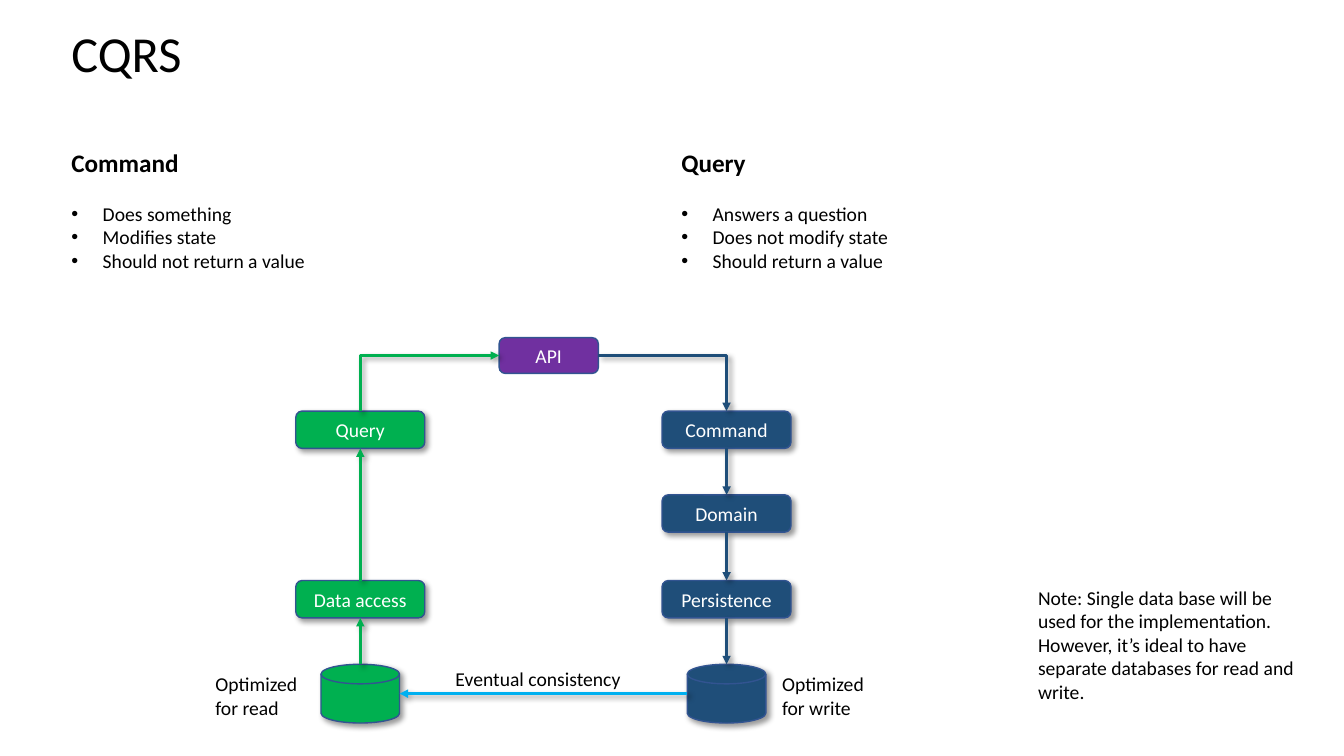
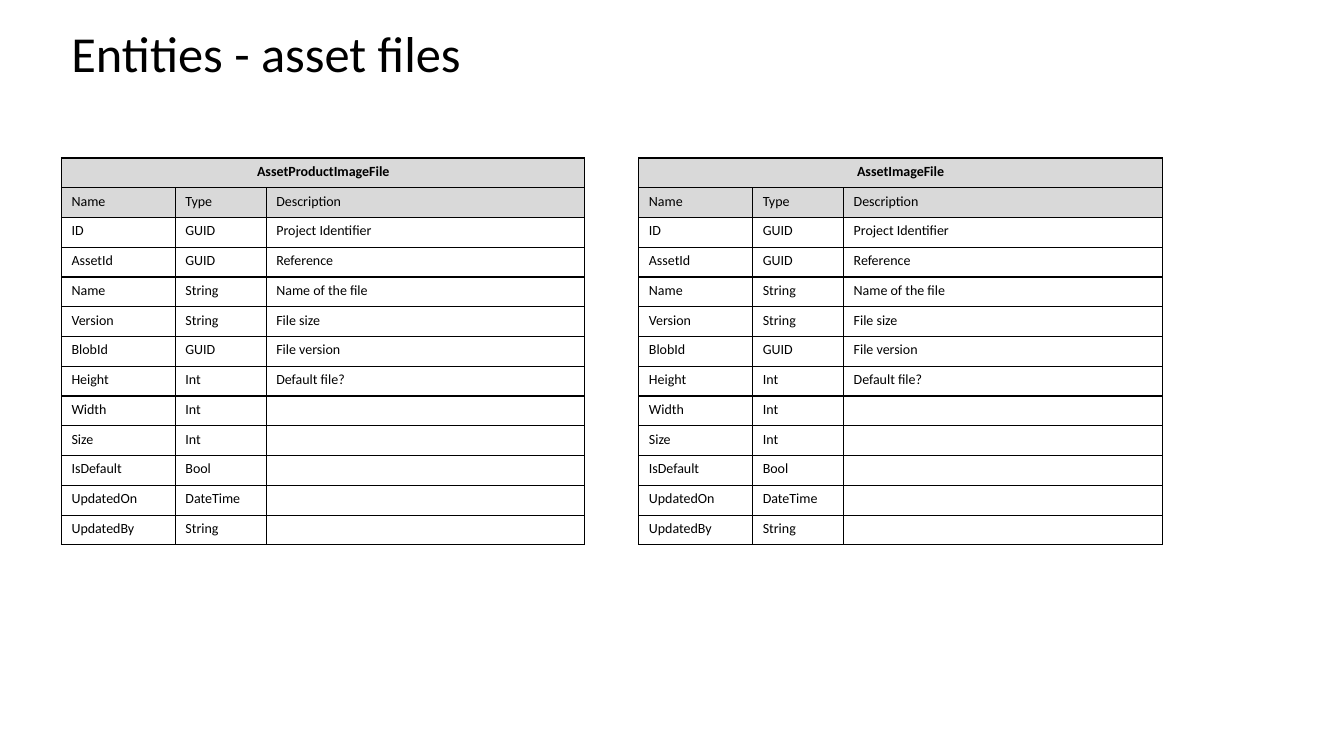
from lxml.etree import SubElement
from pptx import Presentation
from pptx.dml.color import RGBColor as RGB
from pptx.enum.shapes import MSO_CONNECTOR as LINE, MSO_SHAPE as SHAPE
from pptx.enum.text import MSO_ANCHOR as ANCHOR, PP_ALIGN as ALIGN
from pptx.oxml import parse_xml
from pptx.oxml.ns import nsdecls, qn
from pptx.util import Cm, Pt

COLORS = {"text": "000000", "white": "FFFFFF", "api": "7030A0", "write": "1F4E79",
          "read": "00B050", "sync": "00B0F0", "outline": "325491", "header": "D9D9D9"}
RGBS = {name: RGB.from_string(value) for name, value in COLORS.items()}
BODY = {"name": "Calibri", "size": Pt(14), "bold": False}
SHADOW = (f'<a:effectLst {nsdecls("a")}><a:outerShdw blurRad="50800" dist="38100" '
          'dir="2700000" algn="tl" rotWithShape="0"><a:srgbClr val="000000">'
          '<a:alpha val="40000"/></a:srgbClr></a:outerShdw></a:effectLst>')
LEFT = 1.55


def write(tf, lines, color="text", align=ALIGN.LEFT, **changes):
    """Add one paragraph per line and return the paragraphs."""
    added = []
    for line in lines:
        p = tf.paragraphs[0] if not tf.paragraphs[0].runs else tf.add_paragraph()
        p.alignment = align
        r = p.add_run()
        r.text = line
        for name, value in {**BODY, **changes}.items():
            setattr(r.font, name, value)
        r.font.color.rgb = RGBS[color]
        added.append(p)
    return added


def text_box(s, left, top, width, height, wrap=True):
    tf = s.shapes.add_textbox(Cm(left), Cm(top), Cm(width), Cm(height)).text_frame
    tf.word_wrap = wrap
    return tf


prs = Presentation()
prs.slide_width, prs.slide_height = Cm(33.87), Cm(19.05)

# Slides and titles
slides = []
for title in ("CQRS", "Entities - asset files"):
    s = prs.slides.add_slide(prs.slide_layouts[6])
    tf = text_box(s, LEFT, -0.03, 30.76, 2.9)
    tf.vertical_anchor = ANCHOR.MIDDLE
    write(tf, [title], size=Pt(36))[0].line_spacing = 0.9
    slides.append(s)
cqrs, entities = slides

# Command and query lists
for left, width, heading, points in (
        (LEFT, 13.95, "Command",
         ["Does something", "Modifies state", "Should not return a value"]),
        (16.92, 15.37, "Query",
         ["Answers a question", "Does not modify state", "Should return a value"])):
    tf = text_box(cqrs, left, 3.6, width, 3.43)
    write(tf, [heading], size=Pt(18), bold=True)[0].space_after = Pt(17)
    for p in write(tf, points):
        pPr = p._p.get_or_add_pPr()
        pPr.set("marL", str(Cm(0.79)))
        pPr.set("indent", str(-Cm(0.79)))
        SubElement(pPr, qn("a:buFont")).set("typeface", "Arial")
        SubElement(pPr, qn("a:buChar")).set("char", "•")

# Diagram grid: column centres and row tops
READ_X, API_X, WRITE_X = 9.08, 13.83, 18.31
API_Y, ROW_1, ROW_2, ROW_3, DISK_Y = 8.51, 10.36, 12.47, 14.63, 16.74
API_W, API_H, BOX_W, BOX_H, DISK_W, DISK_H = 2.5, 0.9, 3.25, 0.94, 1.98, 1.48
API_MID, DISK_MID = API_Y + API_H / 2, DISK_Y + DISK_H / 2

# Boxes and databases
BOX, DISK = SHAPE.ROUNDED_RECTANGLE, SHAPE.FLOWCHART_MAGNETIC_DISK
for kind, x, top, width, height, color, label in (
        (BOX, API_X, API_Y, API_W, API_H, "api", "API"),
        (BOX, WRITE_X, ROW_1, BOX_W, BOX_H, "write", "Command"),
        (BOX, WRITE_X, ROW_2, BOX_W, BOX_H, "write", "Domain"),
        (BOX, WRITE_X, ROW_3, BOX_W, BOX_H, "write", "Persistence"),
        (DISK, WRITE_X, DISK_Y, DISK_W, DISK_H, "write", None),
        (BOX, READ_X, ROW_1, BOX_W, BOX_H, "read", "Query"),
        (BOX, READ_X, ROW_3, BOX_W, BOX_H, "read", "Data access"),
        (DISK, READ_X, DISK_Y, DISK_W, DISK_H, "read", None)):
    sp = cqrs.shapes.add_shape(kind, Cm(x - width / 2), Cm(top), Cm(width), Cm(height))
    sp.fill.solid()
    sp.fill.fore_color.rgb = RGBS[color]
    sp.line.color.rgb = RGBS["outline"]
    sp.line.width = Pt(1)
    if color == "api":
        sp.shadow.inherit = False
    else:
        sp._element.spPr.append(parse_xml(SHADOW))
    if label:
        sp.text_frame.vertical_anchor = ANCHOR.MIDDLE
        write(sp.text_frame, [label], "white", ALIGN.CENTER)

# Arrows; the elbows leave the API sideways, and the read one points back at it
for x1, y1, x2, y2, color, arrow_end in (
        (WRITE_X, ROW_1 + BOX_H, WRITE_X, ROW_2, "write", "tailEnd"),
        (WRITE_X, ROW_2 + BOX_H, WRITE_X, ROW_3, "write", "tailEnd"),
        (WRITE_X, ROW_3 + BOX_H, WRITE_X, DISK_Y, "write", "tailEnd"),
        (WRITE_X - DISK_W / 2, DISK_MID, READ_X + DISK_W / 2, DISK_MID, "sync", "tailEnd"),
        (READ_X, DISK_Y, READ_X, ROW_3 + BOX_H, "read", "tailEnd"),
        (READ_X, ROW_3, READ_X, ROW_1 + BOX_H, "read", "tailEnd"),
        (API_X - API_W / 2, API_MID, READ_X, ROW_1, "read", "headEnd"),
        (API_X + API_W / 2, API_MID, WRITE_X, ROW_1, "write", "tailEnd")):
    elbow = x1 != x2 and y1 != y2
    arrow = cqrs.shapes.add_connector(LINE.ELBOW if elbow else LINE.STRAIGHT,
                                      Cm(x1), Cm(y1), Cm(x2), Cm(y2))
    arrow.line.color.rgb = RGBS[color]
    arrow.line.width = Pt(2)
    spPr = arrow._element.spPr
    if elbow:
        spPr.find(qn("a:prstGeom")).set("prst", "bentConnector2")
    SubElement(spPr.find(qn("a:ln")), qn(f"a:{arrow_end}")).set("type", "triangle")
    spPr.append(parse_xml(SHADOW))

# Labels and note
for left, top, width, height, wrap, lines in (
        (11.23, 16.69, 4.72, 0.86, False, ["Eventual consistency"]),
        (19.46, 16.81, 2.72, 1.45, False, ["Optimized ", "for write"]),
        (5.18, 16.81, 2.72, 1.45, False, ["Optimized ", "for read"]),
        (25.91, 14.63, 7.16, 3.25, True,
         ["Note: Single data base will be used for the implementation. However, "
          "it’s ideal to have separate databases for read and write."])):
    write(text_box(cqrs, left, top, width, height, wrap), lines)

# Entity tables
FIELDS = [("Name", "Type", "Description"), ("ID", "GUID", "Project Identifier"),
          ("AssetId", "GUID", "Reference"), ("Name", "String", "Name of the file"),
          ("Version", "String", "File size"), ("BlobId", "GUID", "File version"),
          ("Height", "Int", "Default file?"), ("Width", "Int", ""), ("Size", "Int", ""),
          ("IsDefault", "Bool", ""), ("UpdatedOn", "DateTime", ""),
          ("UpdatedBy", "String", "")]
COL_WIDTHS, ROW_H = (2.87, 2.29, 8.03), 0.75
for left, entity in ((LEFT, "AssetProductImageFile"), (16.1, "AssetImageFile")):
    rows = [(entity, "", ""), *FIELDS]
    table = entities.shapes.add_table(len(rows), 3, Cm(left), Cm(3.98), Cm(sum(COL_WIDTHS)),
                                      Cm(ROW_H * len(rows))).table
    table.first_row = table.horz_banding = False
    for column, width in zip(table.columns, COL_WIDTHS):
        column.width = Cm(width)
    for i, row in enumerate(rows):
        for j, value in enumerate(row):
            cell = table.cell(i, j)
            tcPr = cell._tc.get_or_add_tcPr()
            for side in ("lnL", "lnR", "lnT", "lnB"):
                tcPr.append(parse_xml(
                    f'<a:{side} {nsdecls("a")} w="12700"><a:solidFill>'
                    f'<a:srgbClr val="{COLORS["text"]}"/></a:solidFill></a:{side}>'))
            if i < 2:
                cell.fill.solid()
                cell.fill.fore_color.rgb = RGBS["header"]
            else:
                cell.fill.background()
            if value:
                write(cell.text_frame, [value], align=ALIGN.LEFT if i else ALIGN.CENTER,
                      size=Pt(10), bold=i == 0)
            else:
                SubElement(cell.text_frame.paragraphs[0]._p, qn("a:endParaRPr")).set("sz", "1000")
    table.cell(0, 0).merge(table.cell(0, 2))

prs.save("out.pptx")
